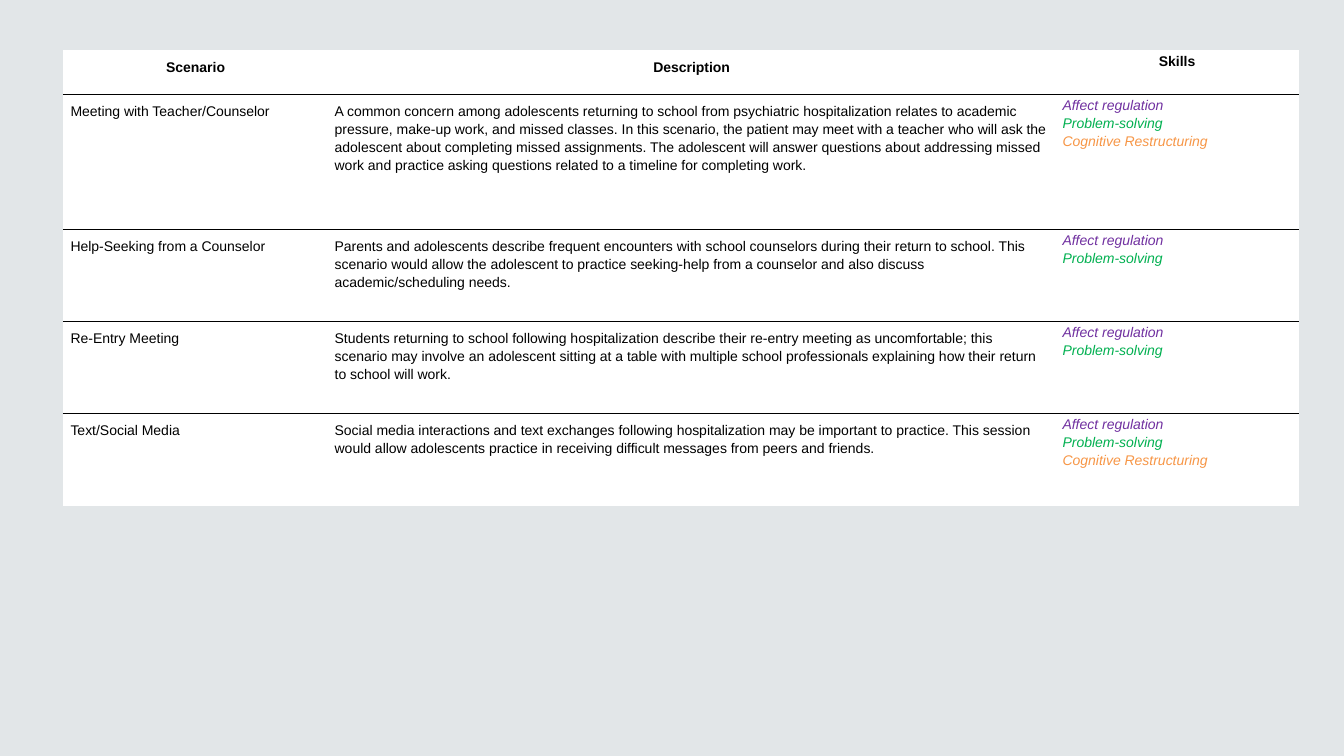
from dataclasses import dataclass

from lxml import etree
from pptx import Presentation
from pptx import util as u
from pptx.dml.color import RGBColor
from pptx.enum import text
from pptx.oxml import ns


@dataclass(frozen=True)
class Theme:
    background: str = "E2E6E8"
    cell: str = "FFFFFF"
    ink: str = "000000"
    affect: str = "7030A0"
    problem: str = "00B050"
    cognitive: str = "F79646"
    font: str = "Arial"
    size: int = 10
    rule_width: int = 1


THEME = Theme()

SKILL_COLORS = {
    "Affect regulation": THEME.affect,
    "Problem-solving": THEME.problem,
    "Cognitive Restructuring": THEME.cognitive,
}
SKILLS = list(SKILL_COLORS)
HEADINGS = ("Scenario", "Description", "Skills")
SCENARIOS = [
    ("Meeting with Teacher/Counselor",
     "A common concern among adolescents returning to school from psychiatric "
     "hospitalization relates to academic pressure, make-up work, and missed classes. "
     "In this scenario, the patient may meet with a teacher who will ask the adolescent "
     "about completing missed assignments. The adolescent will answer questions about "
     "addressing missed work and practice asking questions related to a timeline for "
     "completing work.",
     SKILLS),
    ("Help-Seeking from a Counselor",
     "Parents and adolescents describe frequent encounters with school counselors during "
     "their return to school. This scenario would allow the adolescent to practice "
     "seeking-help from a counselor and also discuss academic/scheduling needs.",
     SKILLS[:2]),
    ("Re-Entry Meeting",
     "Students returning to school following hospitalization describe their re-entry "
     "meeting as uncomfortable; this scenario may involve an adolescent sitting at a table "
     "with multiple school professionals explaining how their return to school will work.",
     SKILLS[:2]),
    ("Text/Social Media",
     "Social media interactions and text exchanges following hospitalization may be "
     "important to practice. This session would allow adolescents practice in receiving "
     "difficult messages from peers and friends.",
     SKILLS),
]
COLUMN_WIDTHS = (2.62, 7.22, 2.41)
ROW_HEIGHTS = (0.44, 1.34, 0.91, 0.91, 0.91)


def add_rule(cell, side):
    """Draw a border on one side of the cell: lnT (top) or lnB (bottom)."""
    rule = etree.Element(ns.qn(f"a:{side}"), w=str(u.Pt(THEME.rule_width)))
    fill = etree.SubElement(rule, ns.qn("a:solidFill"))
    etree.SubElement(fill, ns.qn("a:srgbClr"), val=THEME.ink)
    cell._tc.get_or_add_tcPr().insert(0, rule)


def write_cell(cell, lines, insets, centered, **font_format):
    for name, inset in zip(("left", "top", "right", "bottom"), insets):
        setattr(cell, f"margin_{name}", u.Inches(inset))
    cell.fill.solid()
    cell.fill.fore_color.rgb = RGBColor.from_string(THEME.cell)
    cell.text = "\n".join(lines)
    for paragraph in cell.text_frame.paragraphs:
        paragraph.line_spacing = 1.15
        paragraph.alignment = text.PP_ALIGN.CENTER if centered else text.PP_ALIGN.LEFT
        for run in paragraph.runs:
            font_values = {"name": THEME.font, "size": u.Pt(THEME.size), **font_format}
            for name, value in font_values.items():
                setattr(run.font, name, value)
            color = SKILL_COLORS.get(run.text, THEME.ink)
            run.font.color.rgb = RGBColor.from_string(color)


deck = Presentation()
deck.slide_width, deck.slide_height = u.Inches(13.33), u.Inches(7.5)
slide = deck.slides.add_slide(deck.slide_layouts[6])
slide.background.fill.solid()
slide.background.fill.fore_color.rgb = RGBColor.from_string(THEME.background)

scenario_table = slide.shapes.add_table(
    len(ROW_HEIGHTS), len(COLUMN_WIDTHS), u.Inches(0.63), u.Inches(0.5),
    u.Inches(sum(COLUMN_WIDTHS)), u.Inches(sum(ROW_HEIGHTS))).table
scenario_table.first_row = False
scenario_table.horz_banding = False
for column, width in zip(scenario_table.columns, COLUMN_WIDTHS):
    column.width = u.Inches(width)
for row, height in zip(scenario_table.rows, ROW_HEIGHTS):
    row.height = u.Inches(height)

last_row = len(SCENARIOS)
for row_number, entries in enumerate([HEADINGS, *SCENARIOS]):
    is_heading = row_number == 0
    for column_number, entry in enumerate(entries):
        is_skills = column_number == 2
        cell = scenario_table.cell(row_number, column_number)
        write_cell(
            cell,
            [entry] if isinstance(entry, str) else entry,
            (0.07, 0.01, 0.07, 0) if is_skills else (0.07,) * 4,
            centered=is_heading,
            bold=is_heading,
            italic=is_skills and not is_heading)
        if row_number < last_row:
            add_rule(cell, "lnB")
        if row_number > 0:
            add_rule(cell, "lnT")

deck.save("out.pptx")
